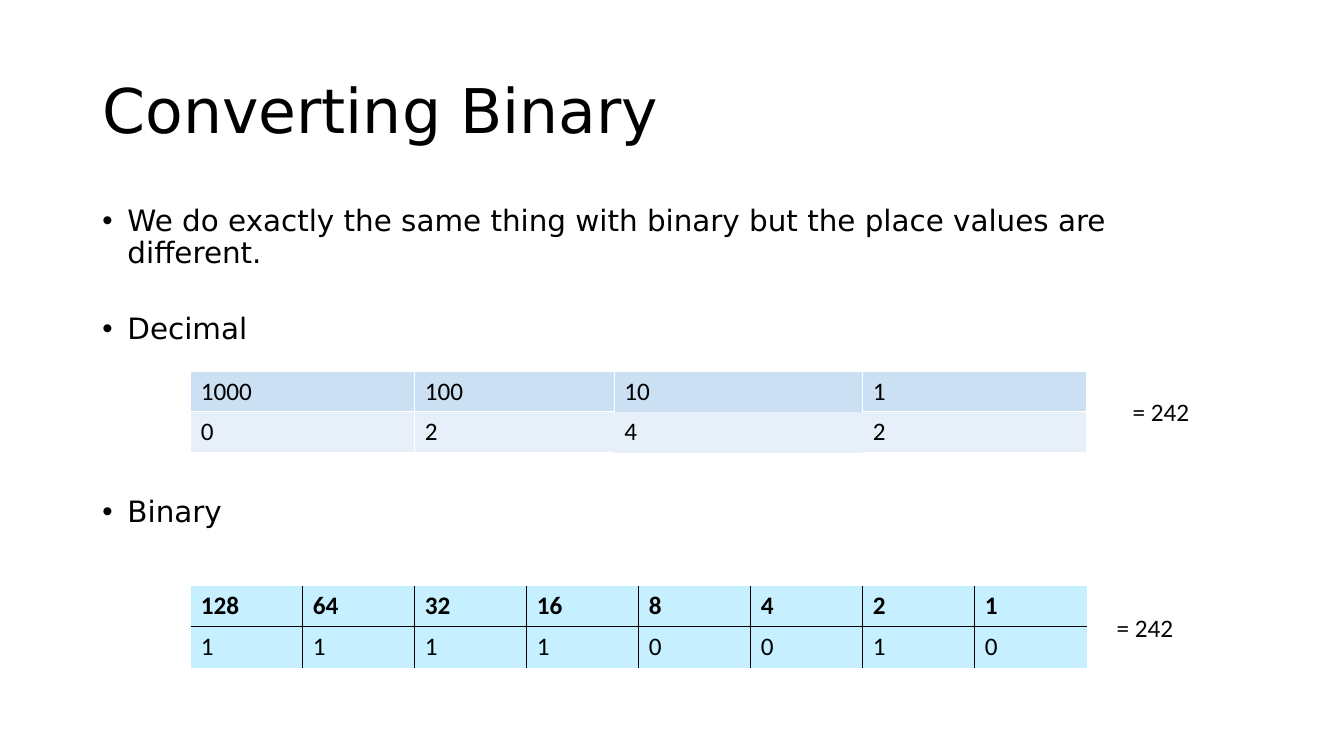
from lxml.etree import SubElement
from pptx import Presentation
from pptx.dml.color import RGBColor
from pptx.enum.text import MSO_ANCHOR, MSO_AUTO_SIZE, PP_ALIGN
from pptx.oxml.ns import qn
from pptx.util import Pt

BLACK = RGBColor(0x00, 0x00, 0x00)
WHITE = RGBColor(0xFF, 0xFF, 0xFF)
BLUE = RGBColor(0xCC, 0xE0, 0xF3)
PALE = RGBColor(0xE7, 0xF0, 0xF9)
CYAN = RGBColor(0xC6, 0xEF, 0xFF)


def write(para, text, size=18, face="Calibri", bold=False, line=None, before=0, bullet=False):
    if bullet:
        props = para._p.get_or_add_pPr()
        props.set("marL", str(Pt(18)))
        props.set("indent", str(Pt(-18)))
        SubElement(props, qn("a:buFont"), typeface="Arial")
        SubElement(props, qn("a:buChar"), char="•")
    para.alignment = PP_ALIGN.LEFT
    para.space_before = Pt(before)
    if line:
        para.line_spacing = line
    run = para.add_run()
    run.text = text
    run.font.size = Pt(size)
    run.font.name = face
    run.font.bold = bold
    run.font.color.rgb = BLACK


deck = Presentation()
deck.slide_width, deck.slide_height = Pt(960), Pt(540)
slide = deck.slides.add_slide(deck.slide_layouts[5])

title = slide.shapes.title
title.left, title.top, title.width, title.height = Pt(66), Pt(28.75), Pt(828), Pt(104.4)
frame = title.text_frame
frame.auto_size = MSO_AUTO_SIZE.NONE
frame.vertical_anchor = MSO_ANCHOR.MIDDLE
write(frame.paragraphs[0], "Converting Binary", size=44, face="DejaVu Sans", line=0.9)

frame = slide.shapes.add_textbox(Pt(66), Pt(143.75), Pt(828), Pt(342.6)).text_frame
frame.word_wrap = True
points = [
    ("We do exactly the same thing with binary but the place values are different.", 0),
    ("Decimal", 32),
    ("Binary", 108),
]
for row, (text, gap) in enumerate(points):
    para = frame.add_paragraph() if row else frame.paragraphs[0]
    write(para, text, size=21, face="DejaVu Sans", line=0.9, before=gap, bullet=True)

grids = [
    (265, [160, 142.5, 177.5, 160], WHITE, [
        (BLUE, False, ["1000", "100", "10", "1"], ["LRTB", "LRTB", "LRT", "LRTB"]),
        (PALE, False, ["0", "2", "4", "2"], ["LRTB", "LTB", "", "RTB"]),
    ]),
    (418.5, [80] * 8, BLACK, [
        (CYAN, True, ["128", "64", "32", "16", "8", "4", "2", "1"], ["RB"] + ["LRB"] * 6 + ["LB"]),
        (CYAN, False, list("11110010"), ["RT"] + ["LRT"] * 6 + ["LT"]),
    ]),
]
for top, widths, ink, rows in grids:
    table = slide.shapes.add_table(2, len(widths), Pt(136.25), Pt(top), Pt(640), Pt(58.4)).table
    table.first_row = table.horz_banding = False
    for col, width in enumerate(widths):
        table.columns[col].width = Pt(width)
    for row, (fill, bold, texts, edges) in enumerate(rows):
        for col, (text, sides) in enumerate(zip(texts, edges)):
            cell = table.cell(row, col)
            write(cell.text_frame.paragraphs[0], text, bold=bold)
            props = cell._tc.get_or_add_tcPr()
            for side in "LRTB":
                edge = SubElement(props, qn("a:ln" + side), w=str(Pt(0.96)))
                if side in sides:
                    paint = SubElement(edge, qn("a:solidFill"))
                    SubElement(paint, qn("a:srgbClr"), val=str(ink))
                else:
                    SubElement(edge, qn("a:noFill"))
            cell.fill.solid()
            cell.fill.fore_color.rgb = fill

for left, top, width in [(802, 279.5, 150.5), (790.5, 433.5, 87)]:
    frame = slide.shapes.add_textbox(Pt(left), Pt(top), Pt(width), Pt(29)).text_frame
    frame.word_wrap = True
    write(frame.paragraphs[0], "= 242")

deck.save("out.pptx")
